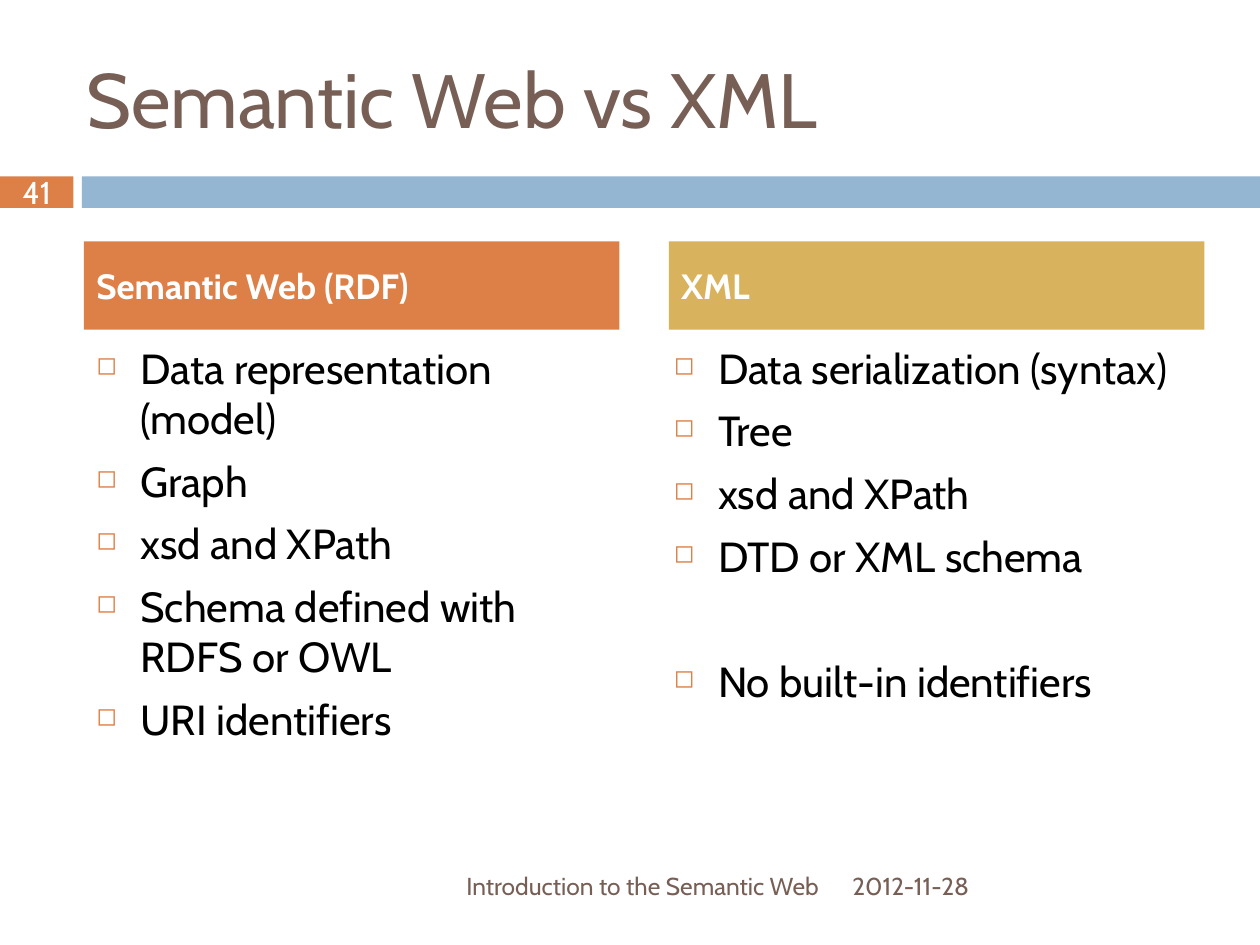
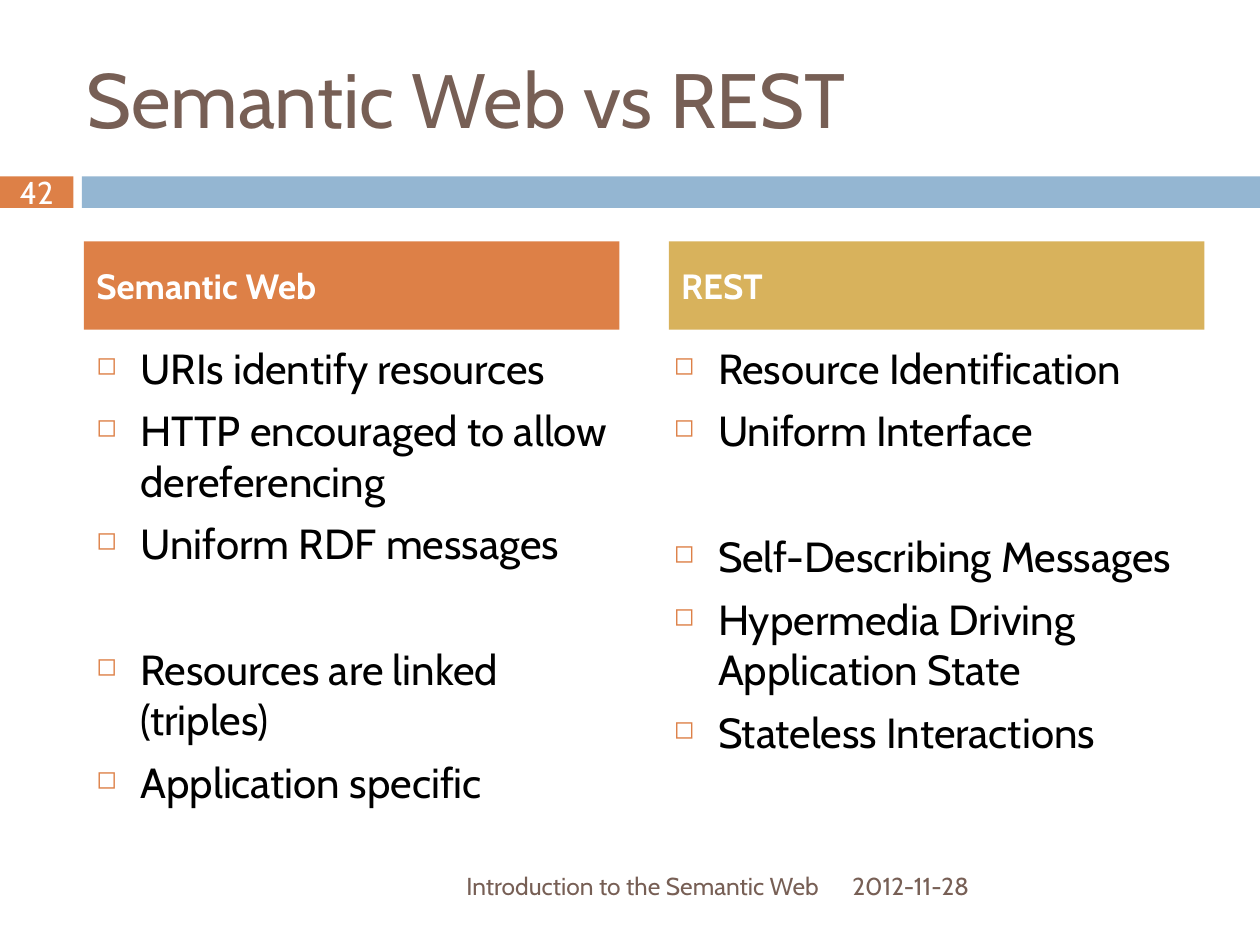
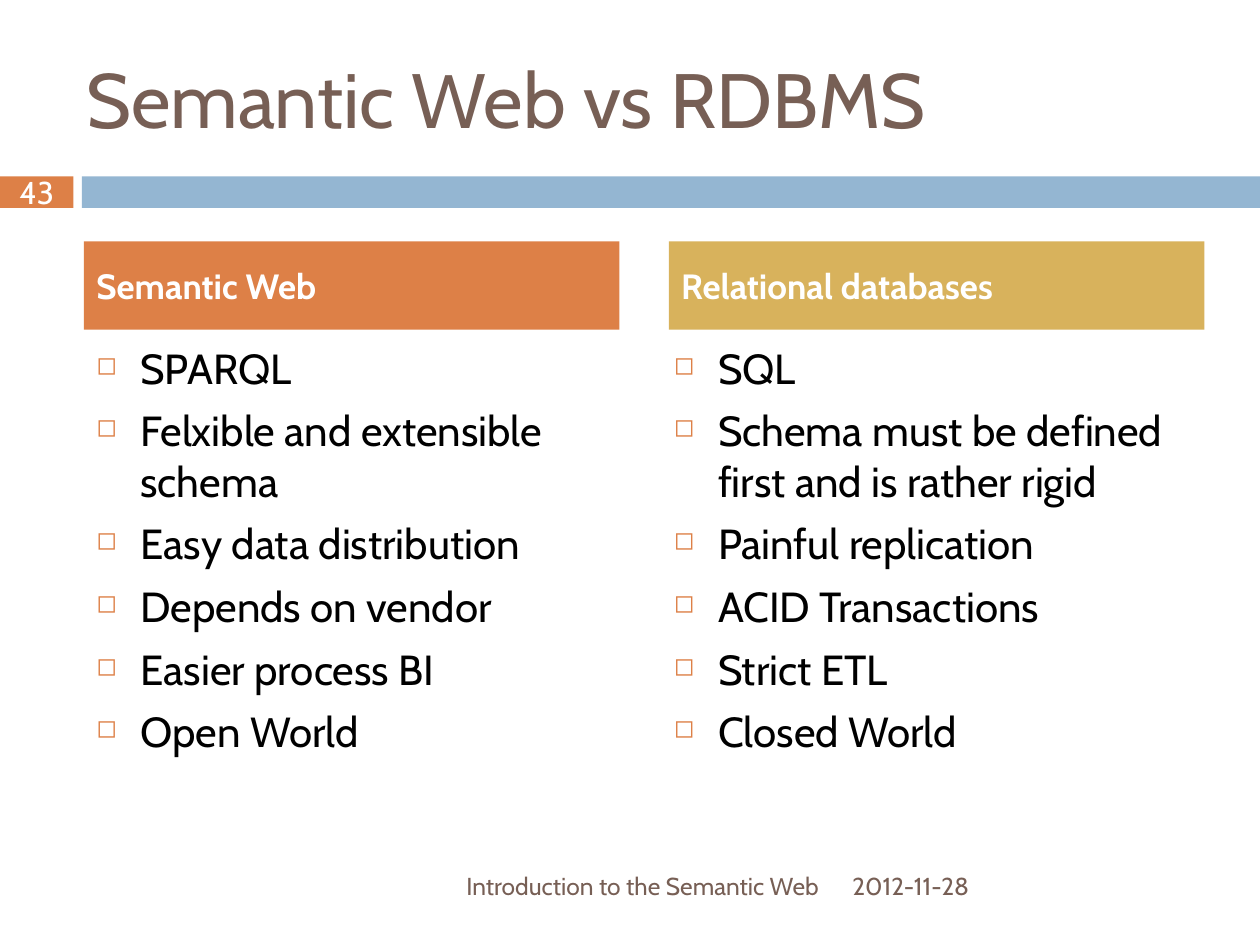
from collections import namedtuple

from lxml.etree import SubElement as Sub
from pptx import Presentation
from pptx.dml.color import RGBColor
from pptx.enum.shapes import MSO_SHAPE as Kind
from pptx.enum.text import MSO_ANCHOR as Anchor
from pptx.enum.text import MSO_AUTO_SIZE as Fit
from pptx.enum.text import PP_ALIGN as Align
from pptx.oxml.ns import qn
from pptx.util import Inches, Pt

# Shared look
FONT = "Cabin"
BROWN, ORANGE, BLUE, GOLD = "775F55", "DD8047", "94B6D2", "D8B25C"
WHITE, BLACK = "FFFFFF", "000000"
FOOTER, DATE = "Introduction to the Semantic Web", "2012-11-28"
FIRST = 41
SPACE, SKIP = 7, 43  # points before an item, and after a skipped row

# Grid of 120 columns and 90 rows, each cell 1/12 inch square
COLS, ROWS, CELL = 120, 90, 1 / 12
Box = namedtuple("Box", "x y w h")
TITLE = Box(7, 3.6, 107, 11.4)
BAND = Box(0, 16.8, COLS, 3)
BODY = Box(8, 23, 106.7, 56)
FOOT = Box(8, 82, 107, 4.8)

# A None in a list leaves one row free
PAGES = [
    ("Semantic Web vs XML",
     ("Semantic Web (RDF)",
      ["Data representation (model)", "Graph", "xsd and XPath",
       "Schema defined with RDFS or OWL", "URI identifiers"]),
     ("XML",
      ["Data serialization (syntax)", "Tree", "xsd and XPath",
       "DTD or XML schema", None, "No built-in identifiers"])),
    ("Semantic Web vs REST",
     ("Semantic Web",
      ["URIs identify resources", "HTTP encouraged to allow dereferencing",
       "Uniform RDF messages", None, "Resources are linked (triples)",
       "Application specific"]),
     ("REST",
      ["Resource Identification", "Uniform Interface", None,
       "Self-Describing Messages", "Hypermedia Driving Application State",
       "Stateless Interactions"])),
    ("Semantic Web vs RDBMS",
     ("Semantic Web",
      ["SPARQL", "Felxible and extensible schema", "Easy data distribution",
       "Depends on vendor", "Easier process BI", "Open World"]),
     ("Relational databases",
      ["SQL", "Schema must be defined first and is rather rigid",
       "Painful replication", "ACID Transactions", "Strict ETL",
       "Closed World"])),
]


def color(code):
    return RGBColor.from_string(code)


def place(box):
    return [Inches(n * CELL) for n in box]


def rect(slide, box, fill):
    shape = slide.shapes.add_shape(Kind.RECTANGLE, *place(box))
    shape.shadow.inherit = False
    shape.fill.solid()
    shape.fill.fore_color.rgb = color(fill)
    shape.line.fill.background()
    return shape


def frame(shape, anchor=Anchor.MIDDLE):
    text = shape.text_frame
    text.word_wrap = True
    text.auto_size = Fit.NONE
    text.vertical_anchor = anchor
    return text


def write(para, words, size, ink, align=Align.LEFT, bold=False):
    para.alignment = align
    run = para.add_run()
    run.text = words
    font = run.font
    font.name, font.size, font.bold = FONT, Pt(size), bold
    font.color.rgb = color(ink)


def label(slide, box, words, size, ink, align=Align.LEFT):
    text = frame(slide.shapes.add_textbox(*place(box)))
    write(text.paragraphs[0], words, size, ink, align)


def bullet(para):
    props = para._p.get_or_add_pPr()
    props.set("marL", str(Inches(0.35)))
    props.set("indent", str(-Inches(0.35)))
    tint = Sub(props, qn("a:buClr"))
    Sub(tint, qn("a:srgbClr"), val=ORANGE)
    Sub(props, qn("a:buSzPct"), val="60000")
    Sub(props, qn("a:buChar"), char="◻")


def head(slide, box, words):
    title = slide.shapes.title
    title.left, title.top, title.width, title.height = place(box)
    write(frame(title).paragraphs[0], words, 44, BROWN)


def band(slide, box, number):
    # Number tab, a small gap, then the long bar
    tab, gap = 7, 0.8
    cell = box._replace(w=tab)
    rect(slide, cell, ORANGE)
    rect(slide, box._replace(x=box.x + tab + gap, w=box.w - tab - gap), BLUE)
    label(slide, cell, str(number), 18, WHITE, Align.CENTER)


def topic(slide, box, words, fill):
    para = frame(rect(slide, box, fill)).paragraphs[0]
    para.space_before = Pt(SPACE)
    write(para, words, 20, WHITE, bold=True)


def points(slide, box, items):
    text = frame(slide.shapes.add_textbox(*place(box)), Anchor.TOP)
    para, space = text.paragraphs[0], SPACE
    for item in items:
        if item is None:
            space = SKIP
            continue
        if para.runs:
            para = text.add_paragraph()
        para.space_before = Pt(space)
        bullet(para)
        write(para, item, 24, BLACK)
        space = SPACE


def versus(slide, box, left, right):
    # Two equal columns; the right list starts slightly before its heading
    wide, high, top = 51, 8.4, 9
    far = box.x + box.w - wide
    sides = [(left, box.x, 0, ORANGE), (right, far, 0.7, GOLD)]
    for (name, items), x, shift, fill in sides:
        topic(slide, Box(x, box.y, wide, high), name, fill)
        points(slide, Box(x - shift, box.y + top, wide, box.h - top), items)


def foot(slide, box):
    note, day = 71.2, 35
    label(slide, box._replace(w=note), FOOTER, 14, BROWN, Align.RIGHT)
    label(slide, box._replace(x=box.x + box.w - day, w=day), DATE, 14, BROWN)


def main():
    deck = Presentation()
    deck.slide_width, deck.slide_height = Inches(COLS * CELL), Inches(ROWS * CELL)
    plan = deck.slide_layouts.get_by_name("Title Only")
    for number, (title, left, right) in enumerate(PAGES, FIRST):
        slide = deck.slides.add_slide(plan)
        band(slide, BAND, number)
        head(slide, TITLE, title)
        versus(slide, BODY, left, right)
        foot(slide, FOOT)
    deck.save("out.pptx")


if __name__ == "__main__":
    main()
